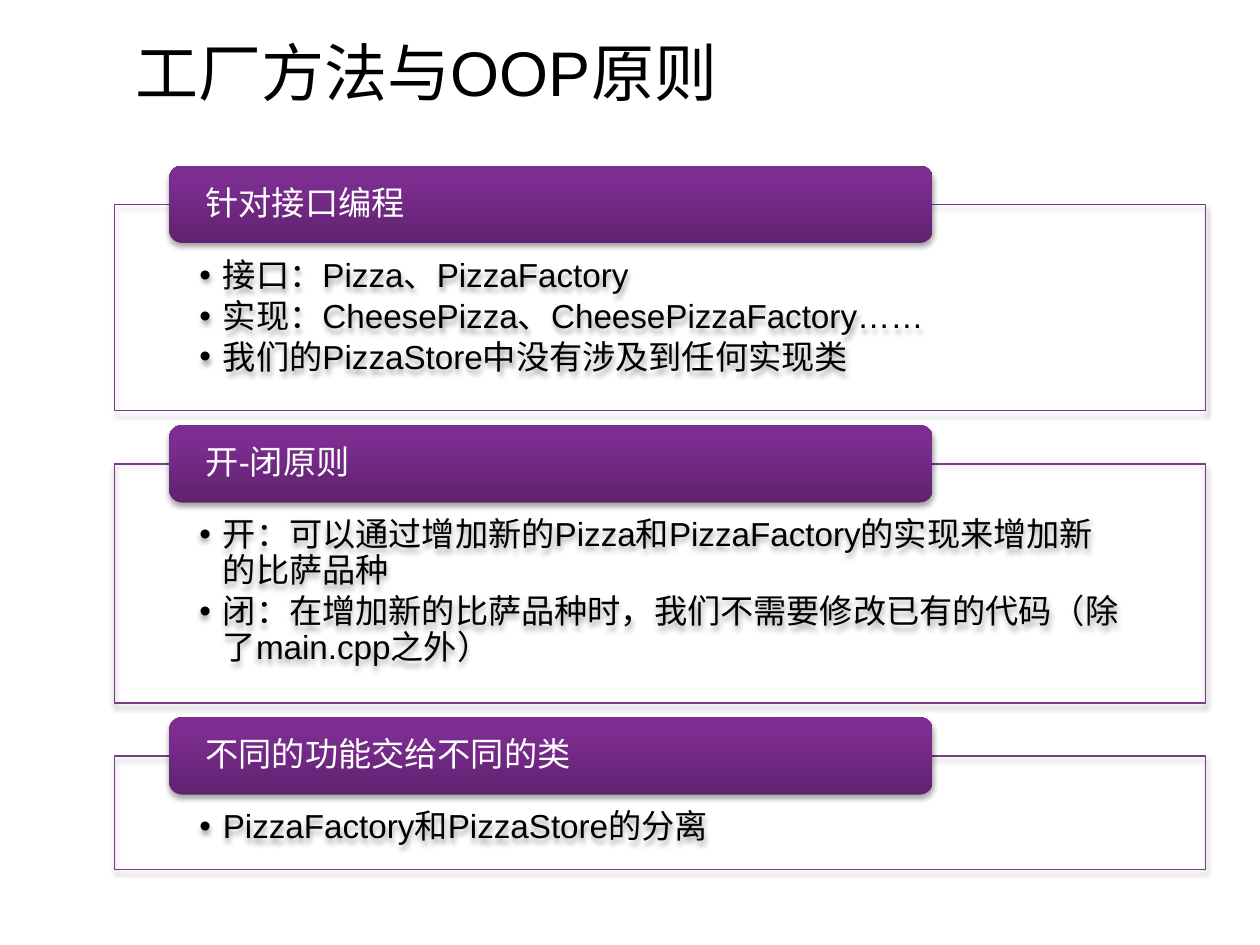
"""Build a slide on the factory method and OOP principles."""
from copy import deepcopy

from pptx import Presentation
from pptx import util as u
from pptx.dml.color import RGBColor
from pptx.enum import shapes, text
from pptx.oxml import ns
from lxml import etree

Pt = u.Pt
BOX_LEFT, BOX_WIDTH = 65.5, 623.5
HEADER_LEFT, HEADER_WIDTH, HEADER_HEIGHT = 96.7, 436.3, 44.2
HEADER_RISE, SECTION_GAP = 22.14, 30.3
GRADIENT = [(0, "60226F"), (0.8, "7C2D90"), (1, "7E2B93")]
SECTIONS = [
    ("针对接口编程", 118, [
        "接口：Pizza、PizzaFactory",
        "实现：CheesePizza、CheesePizzaFactory……",
        "我们的PizzaStore中没有涉及到任何实现类",
    ]),
    ("开-闭原则", 136.6, [
        "开：可以通过增加新的Pizza和PizzaFactory的实现来增加新的比萨品种",
        "闭：在增加新的比萨品种时，我们不需要修改已有的代码（除了main.cpp之外）",
    ]),
    ("不同的功能交给不同的类", 64.8, ["PizzaFactory和PizzaStore的分离"]),
]


def add_run(paragraph, words, size, color):
    paragraph.alignment = text.PP_ALIGN.LEFT
    run = paragraph.add_run()
    run.text = words
    run.font.name = "Arial"
    run.font.size = Pt(size)
    run.font.color.rgb = RGBColor.from_string(color)


def add_panel(kind, left, top, width, height, insets, anchor):
    shape = slide.shapes.add_shape(kind, Pt(left), Pt(top), Pt(width), Pt(height))
    shape.shadow.inherit = False
    effects = shape.element.spPr.find(ns.qn("a:effectLst"))
    shadow = etree.SubElement(effects, ns.qn("a:outerShdw"), blurRad=str(Pt(3.1)),
                              dist=str(Pt(1.8)), dir="5400000", rotWithShape="0")
    black = etree.SubElement(shadow, ns.qn("a:srgbClr"), val="000000")
    etree.SubElement(black, ns.qn("a:alpha"), val="35000")
    frame = shape.text_frame
    frame.word_wrap = True
    frame.vertical_anchor = anchor
    frame.margin_left, frame.margin_top, frame.margin_right, frame.margin_bottom = map(Pt, insets)
    return shape


presentation = Presentation()
presentation.slide_width, presentation.slide_height = Pt(720), Pt(540)
slide = presentation.slides.add_slide(presentation.slide_layouts[6])

title = slide.shapes.add_textbox(Pt(70.6), Pt(9.4), Pt(669), Pt(62.6))
title.text_frame.word_wrap = True
title.text_frame.vertical_anchor = text.MSO_ANCHOR.MIDDLE
add_run(title.text_frame.paragraphs[0], "工厂方法与OOP原则", 36, "000000")

top = 116.8
for heading, height, points in SECTIONS:
    box = add_panel(shapes.MSO_SHAPE.RECTANGLE, BOX_LEFT, top, BOX_WIDTH, height,
                    (48.4, 31, 48.4, 10.8), text.MSO_ANCHOR.TOP)
    box.fill.background()
    box.line.color.rgb = RGBColor.from_string("793A89")
    box.line.width = Pt(0.75)
    for index, point in enumerate(points):
        frame = box.text_frame
        paragraph = frame.add_paragraph() if index else frame.paragraphs[0]
        properties = paragraph._p.get_or_add_pPr()
        properties.set("marL", str(Pt(13.5)))
        properties.set("indent", str(Pt(-13.5)))
        etree.SubElement(properties, ns.qn("a:buFont"), typeface="Arial")
        etree.SubElement(properties, ns.qn("a:buChar"), char="•")
        paragraph.line_spacing = 0.9
        paragraph.space_after = Pt(2.9)
        add_run(paragraph, point, 19, "000000")

    header = add_panel(shapes.MSO_SHAPE.ROUNDED_RECTANGLE, HEADER_LEFT, top - HEADER_RISE,
                       HEADER_WIDTH, HEADER_HEIGHT, (18.7, 2.2, 18.7, 2.2),
                       text.MSO_ANCHOR.MIDDLE)
    header.line.fill.background()
    header.fill.gradient()
    header.fill.gradient_angle = 90
    stop_list = header.element.spPr.find(".//" + ns.qn("a:gsLst"))
    stop_list.append(deepcopy(stop_list[0]))
    for stop, (position, color) in zip(header.fill.gradient_stops, GRADIENT):
        stop.position = position
        stop.color.rgb = RGBColor.from_string(color)
    paragraph = header.text_frame.paragraphs[0]
    paragraph.line_spacing = 0.9
    add_run(paragraph, heading, 19, "FFFFFF")
    top += height + SECTION_GAP

presentation.save("out.pptx")
